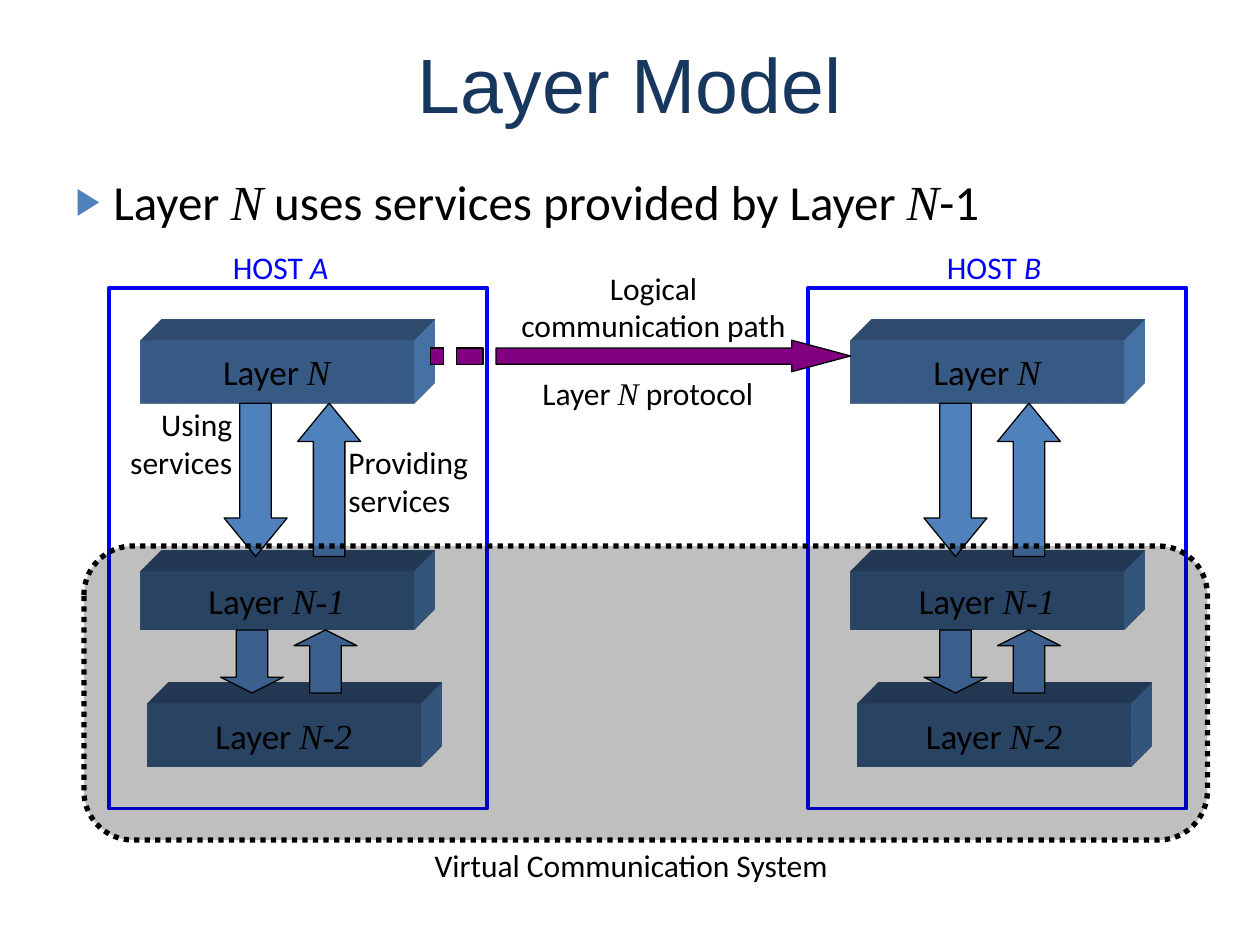
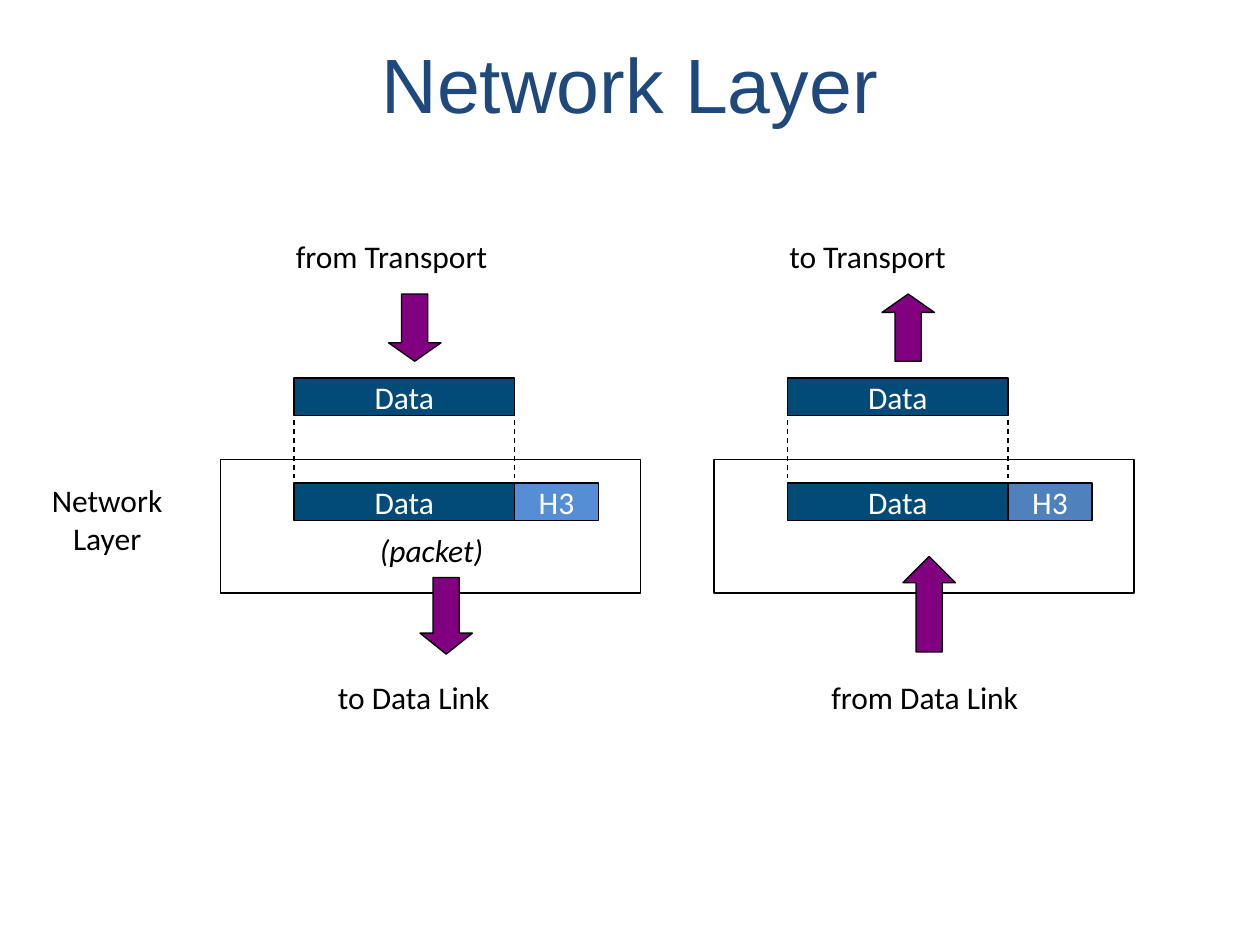
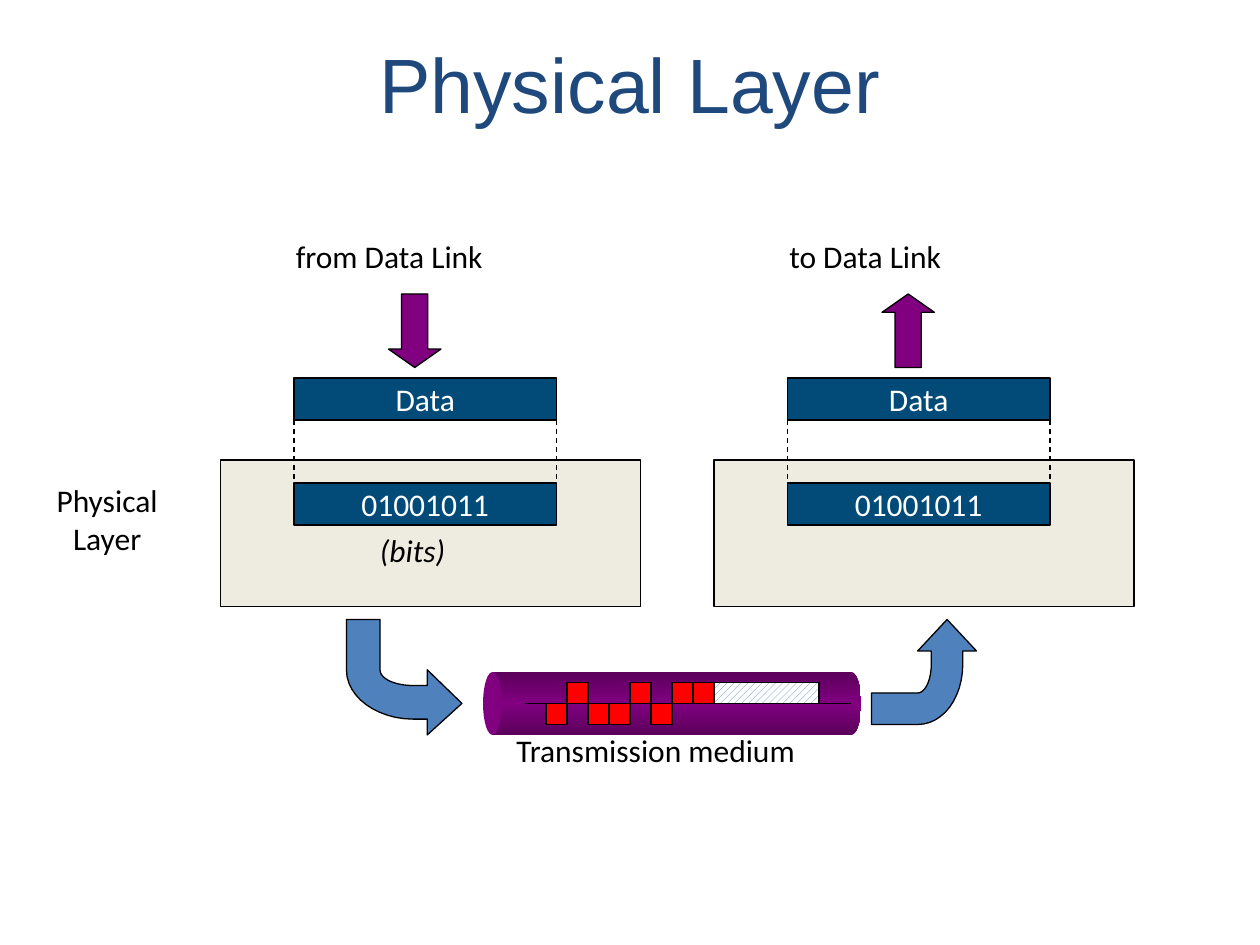
from dataclasses import dataclass
from typing import NamedTuple

from lxml.etree import SubElement
from pptx import Presentation
from pptx.dml.color import RGBColor
from pptx.enum.dml import MSO_LINE, MSO_PATTERN
from pptx.enum.shapes import MSO_CONNECTOR, MSO_SHAPE
from pptx.enum.text import MSO_ANCHOR, PP_ALIGN
from pptx.oxml.ns import qn
from pptx.util import Inches, Pt

# Shared look: the slide is a grid of 120 columns by 90 rows
COLUMNS, ROWS = 120, 90
CELL = Inches(10) / COLUMNS
BLACK, WHITE, BLUE, NAVY = "000000", "FFFFFF", "4F81BD", "024B78"
PURPLE, DEEP_PURPLE, RED, HOST_BLUE = "800080", "5C005C", "FF0000", "0000FF"
TITLE_BLUE, CREAM = "1F497D", "EEECE1"
SANS, SERIF, TITLE_FONT = "Calibri", "Times New Roman", "Arial"
LEFT, CENTER, RIGHT = PP_ALIGN.LEFT, PP_ALIGN.CENTER, PP_ALIGN.RIGHT


class Box(NamedTuple):
    """Left, top, width and height in grid cells."""
    left: float
    top: float
    width: float
    height: float


@dataclass
class Host:
    name: str
    frame: float
    label: float
    blocks: float
    long_arrows: float
    short_arrows: float


@dataclass
class Side:
    """One half of a layer diagram; frame is its left column."""
    frame: float
    above: str
    below: str
    sends: bool
    header_fill: str = BLUE


@dataclass
class LayerDiagram:
    name: str
    frame_height: float
    frame_fill: str
    data_width: float
    data_height: float
    arrow_height: float
    dash_end: float
    inner_text: str
    unit: str


def cells(*values: float) -> list[int]:
    return [round(value * CELL) for value in values]


def color(hex_text: str) -> RGBColor:
    return RGBColor.from_string(hex_text)


# Text
def write(para, marked: str, size: float, ink: str, font: str = SANS,
          accent_font: str = SANS, align=LEFT) -> None:
    """Write text in which *asterisks* mark the italic spans."""
    para.alignment = align
    for number, part in enumerate(marked.split("*")):
        if not part:
            continue
        italic = number % 2 == 1
        for row, line in enumerate(part.split("\n")):
            if row:
                para.add_line_break()
            span = para.add_run()
            span.text = line
            span.font.size = Pt(size)
            span.font.name = accent_font if italic else font
            span.font.italic = italic
            span.font.color.rgb = color(ink)


def add_label(page, box: Box, marked: str, align=LEFT, ink: str = BLACK,
              accent_font: str = SANS) -> None:
    frame = page.shapes.add_textbox(*cells(*box)).text_frame
    frame.word_wrap = False
    write(frame.paragraphs[0], marked, 18, ink, accent_font=accent_font, align=align)


def add_page(deck, title: str, ink: str = TITLE_BLUE, layout: int = 5):
    page = deck.slides.add_slide(deck.slide_layouts[layout])
    holder = page.shapes.title
    holder.left, holder.top, holder.width, holder.height = cells(6, 2, 108, 11.8)
    holder.text_frame.vertical_anchor = MSO_ANCHOR.MIDDLE
    write(holder.text_frame.paragraphs[0], title, 44, ink, TITLE_FONT, align=CENTER)
    return page


# Shapes
def finish(shape, fill: str | None, line: str | None, width: float = 0.75) -> None:
    shape.shadow.inherit = False
    if fill:
        shape.fill.solid()
        shape.fill.fore_color.rgb = color(fill)
    else:
        shape.fill.background()
    if line:
        shape.line.color.rgb = color(line)
        shape.line.width = Pt(width)
    else:
        shape.line.fill.background()


def add_block(page, box: Box, fill: str | None = None, line: str | None = BLACK,
              width: float = 0.75, kind=MSO_SHAPE.RECTANGLE):
    shape = page.shapes.add_shape(kind, *cells(*box))
    finish(shape, fill, line, width)
    return shape


def add_text_block(page, box: Box, marked: str, fill: str, line: str | None = BLACK,
                   size: float = 18, ink: str = WHITE):
    shape = add_block(page, box, fill, line)
    frame = shape.text_frame
    frame.word_wrap = False
    frame.vertical_anchor = MSO_ANCHOR.MIDDLE
    write(frame.paragraphs[0], marked, size, ink, accent_font=SERIF, align=CENTER)
    return shape


def add_arrow(page, box: Box, down: bool, head: float, fill: str = PURPLE) -> None:
    kind = MSO_SHAPE.DOWN_ARROW if down else MSO_SHAPE.UP_ARROW
    arrow = add_block(page, box, fill, kind=kind)
    arrow.adjustments[0] = 0.5
    arrow.adjustments[1] = head


def add_line(page, x1: float, y1: float, x2: float, y2: float, dashed: bool) -> None:
    line = page.shapes.add_connector(MSO_CONNECTOR.STRAIGHT, *cells(x1, y1, x2, y2))
    line.line.color.rgb = color(BLACK)
    line.line.width = Pt(0.75)
    if dashed:
        line.line.dash_style = MSO_LINE.DASH
    SubElement(line._element.spPr, qn("a:effectLst"))


def curve(start, first, second, end, steps: int = 12) -> list[tuple[float, float]]:
    """Points along a cubic curve, its start included."""
    points = []
    for step in range(steps + 1):
        t = step / steps
        weights = ((1 - t) ** 3, 3 * t * (1 - t) ** 2, 3 * t * t * (1 - t), t ** 3)
        points.append(tuple(
            sum(weight * point[axis] for weight, point in zip(weights, (start, first, second, end)))
            for axis in (0, 1)))
    return points


def add_outline(page, contours: list[list[tuple[float, float]]], fill: str) -> None:
    builder = page.shapes.build_freeform(*cells(*contours[0][0]))
    for number, contour in enumerate(contours):
        if number:
            builder.move_to(*cells(*contour[0]))
        builder.add_line_segments([cells(*point) for point in contour[1:]], close=True)
    finish(builder.convert_to_shape(), fill, BLACK)


def extrude(shape, side_color: str) -> None:
    """Turn a flat block into a slab seen from the top right."""
    properties = shape._element.spPr
    scene = SubElement(properties, qn("a:scene3d"))
    SubElement(scene, qn("a:camera"), prst="legacyObliqueTopRight")
    SubElement(scene, qn("a:lightRig"), rig="legacyFlat3", dir="b")
    solid = SubElement(properties, qn("a:sp3d"), extrusionH="430200",
                       prstMaterial="legacyMatte")
    for bevel in ("a:bevelT", "a:bevelB"):
        SubElement(solid, qn(bevel), w="13500", h="13500", prst="angle")
    SubElement(SubElement(solid, qn("a:extrusionClr")), qn("a:srgbClr"), val=side_color)


def shade_tube(shape) -> None:
    shape.fill.gradient()
    shape.fill.gradient_angle = 90
    stops = shape._element.spPr.find(qn("a:gradFill")).find(qn("a:gsLst"))
    for stop in list(stops):
        stops.remove(stop)
    for position, tone in ((0, DEEP_PURPLE), (50, PURPLE), (100, DEEP_PURPLE)):
        stop = SubElement(stops, qn("a:gs"), pos=str(position * 1000))
        SubElement(stop, qn("a:srgbClr"), val=tone)


# Slide 1
def add_statement(page) -> None:
    body = page.placeholders[1]
    body.left, body.top, body.width, body.height = cells(6, 15.7, 108, 65.3)
    para = body.text_frame.paragraphs[0]
    write(para, "Layer *N* uses services provided by Layer *N*-1", 28, BLACK,
          accent_font=SERIF)
    para.space_before = Pt(6)
    properties = para._p.get_or_add_pPr()
    properties.set("marL", str(Inches(0.3)))
    properties.set("indent", str(-Inches(0.3)))
    SubElement(SubElement(properties, qn("a:buClr")), qn("a:srgbClr"), val=BLUE)
    SubElement(properties, qn("a:buSzPct"), val="76000")
    SubElement(properties, qn("a:buChar"), char="▶")


def add_host(page, host: Host) -> None:
    add_block(page, Box(host.frame, 27.4, 36, 49.6), None, HOST_BLUE, 2.25)
    add_label(page, Box(host.label, 23, 12.7, 4.8), f"HOST *{host.name}*", ink=HOST_BLUE)
    for layer, shift, top, height in (("N", 0, 32.4, 6), ("N-1", 0, 54.4, 5.6),
                                      ("N-2", 0.67, 67, 6)):
        slab = add_text_block(page, Box(host.blocks + shift, top, 26, height),
                              f"Layer *{layer}*", BLUE, None, 20, BLACK)
        extrude(slab, BLUE)
    for left, top, height, head in ((host.long_arrows, 38.4, 14.6, 0.61),
                                    (host.short_arrows, 60, 6, 0.25)):
        for column, down in enumerate((True, False)):
            add_arrow(page, Box(left + 7 * column, top, 6, height), down, head, BLUE)


def build_layer_model(deck) -> None:
    page = add_page(deck, "Layer Model", "17375E", layout=1)
    add_statement(page)
    for host in (Host("A", 10.4, 21, 13.35, 21.35, 21),
                 Host("B", 77, 89, 81, 88, 88)):
        add_host(page, host)

    # Logical path between the hosts, with two loose dashes at its tail
    upper, lower = 33.15, 34.7
    shaft = [(75.4, 32.4), (75.4, upper), (47.25, upper), (47.25, lower),
             (75.4, lower), (75.4, 35.4), (81, 33.9)]
    dashes = [[(left, upper), (left, lower), (right, lower), (right, upper)]
              for left, right in ((43.45, 46), (41, 42.25))]
    add_outline(page, [shaft, *dashes], PURPLE)

    # Virtual system laid over the lower layers
    system = add_block(page, Box(8, 52, 107, 28), BLACK, BLACK, 3,
                       MSO_SHAPE.ROUNDED_RECTANGLE)
    system.line.dash_style = MSO_LINE.ROUND_DOT
    tone = system._element.spPr.find(qn("a:solidFill")).find(qn("a:srgbClr"))
    SubElement(tone, qn("a:alpha"), val="25000")

    add_label(page, Box(10.5, 38, 12.8, 8.4), "Using\nservices", RIGHT)
    add_label(page, Box(32, 41.6, 14.6, 8.4), "Providing\nservices")
    add_label(page, Box(47.6, 25, 29.3, 8.4), "Logical\ncommunication path", CENTER)
    add_label(page, Box(49.6, 35, 24.2, 4.8), "Layer *N* protocol", CENTER,
              accent_font=SERIF)
    add_label(page, Box(40.2, 80, 42.8, 4.8), "Virtual Communication System")


# Slides 2 and 3
def add_side(page, side: Side, diagram: LayerDiagram) -> None:
    data_left = side.frame + 7
    width, height = diagram.data_width, diagram.data_height
    add_block(page, Box(side.frame, 43.8, 40, diagram.frame_height), diagram.frame_fill)
    add_label(page, Box(side.frame + 6, 22, 24, 4.8), side.above)
    add_arrow(page, Box(side.frame + 16, 28, 5, diagram.arrow_height), side.sends, 0.35)
    for top, text in ((36, "Data"), (46, diagram.inner_text)):
        add_text_block(page, Box(data_left, top, width, height), text, NAVY)
    for column in (data_left, data_left + width):
        add_line(page, column, 40, column, diagram.dash_end, True)
    if side.sends:
        add_label(page, Box(side.frame + 14, 50, 16, 4.8), f"*({diagram.unit})*")
    if side.below:
        add_text_block(page, Box(data_left + width, 46, 8, height), "H3", side.header_fill)
        add_label(page, Box(side.frame + 10, 64, 24, 4.8), side.below)


def build_diagram(deck, diagram: LayerDiagram, sides: tuple[Side, ...]):
    page = add_page(deck, f"{diagram.name} Layer")
    add_label(page, Box(2.2, 45.2, 16, 8.4), f"{diagram.name}\nLayer", CENTER)
    for side in sides:
        add_side(page, side, diagram)
    return page


def build_network_layer(deck) -> None:
    diagram = LayerDiagram("Network", 12.7, WHITE, 21, 3.6, 6.4, 45.5, "Data", "packet")
    page = build_diagram(deck, diagram, (
        Side(21, "from Transport", "to Data Link", True, "558ED5"),
        Side(68, "to Transport", "from Data Link", False)))
    add_arrow(page, Box(40, 55, 5, 7.3), True, 0.4)
    add_arrow(page, Box(86, 53, 5, 9.1), False, 0.5)


def add_medium(page, bits: str) -> None:
    """Tube carrying one pulse per bit: high for 1, low for 0."""
    shade_tube(add_block(page, Box(80.2, 64, 1.8, 6), PURPLE, None, kind=MSO_SHAPE.OVAL))
    shade_tube(add_block(page, Box(46.9, 64, 34.2, 6), PURPLE, None))
    add_block(page, Box(46, 64, 1.8, 6), PURPLE, None, kind=MSO_SHAPE.OVAL)
    add_line(page, 50, 67, 81, 67, False)
    for number, bit in enumerate(bits):
        add_block(page, Box(52 + 2 * number, 65 if bit == "1" else 67, 2, 2), RED)
    rest = add_block(page, Box(52 + 2 * len(bits), 65, 10, 2), WHITE)
    rest.fill.patterned()
    rest.fill.pattern = MSO_PATTERN.WIDE_UPWARD_DIAGONAL
    rest.fill.fore_color.rgb = color(BLUE)
    rest.fill.back_color.rgb = color(WHITE)
    add_label(page, Box(48, 69, 31.3, 4.8), "Transmission medium")


def build_physical_layer(deck) -> None:
    bits = "01001011"
    diagram = LayerDiagram("Physical", 14, CREAM, 25, 4, 7, 46, bits, "bits")
    page = build_diagram(deck, diagram, (
        Side(21, "from Data Link", "", True),
        Side(68, "to Data Link", "", False)))
    add_medium(page, bits)

    # Bent arrows into and out of the medium
    into = [(44, 67), (40.7, 70), (40.7, 68.5),
            *curve((39.4, 68.5), (35.9, 68.5), (33, 66.4), (33, 63.8)),
            (33, 59), (36.2, 59),
            *curve((36.2, 63.8), (36.2, 64.7), (37.7, 65.3), (39.4, 65.3)),
            (40.7, 65.3), (40.7, 63.8)]
    out_of = [(90.2, 59), (93, 62), (91.7, 62),
              *curve((91.7, 63.2), (91.7, 66.5), (89.8, 69), (87.4, 69)),
              (83, 69), (83, 66),
              *curve((87.4, 66), (88.1, 66), (88.7, 64.8), (88.7, 63.2)),
              (88.7, 62), (87.4, 62)]
    for arrow in (into, out_of):
        add_outline(page, [arrow], BLUE)


def main() -> None:
    deck = Presentation()
    deck.slide_width, deck.slide_height = cells(COLUMNS, ROWS)
    build_layer_model(deck)
    build_network_layer(deck)
    build_physical_layer(deck)
    deck.save("out.pptx")


if __name__ == "__main__":
    main()
